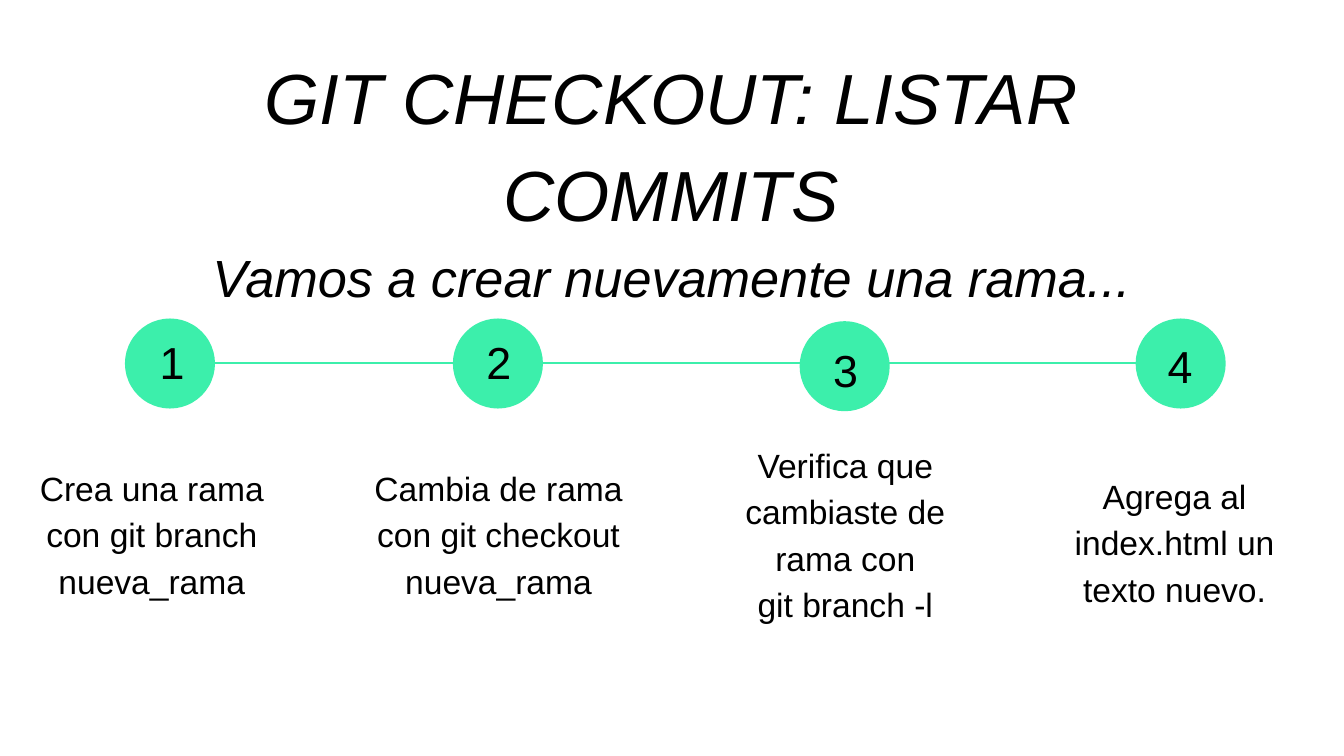
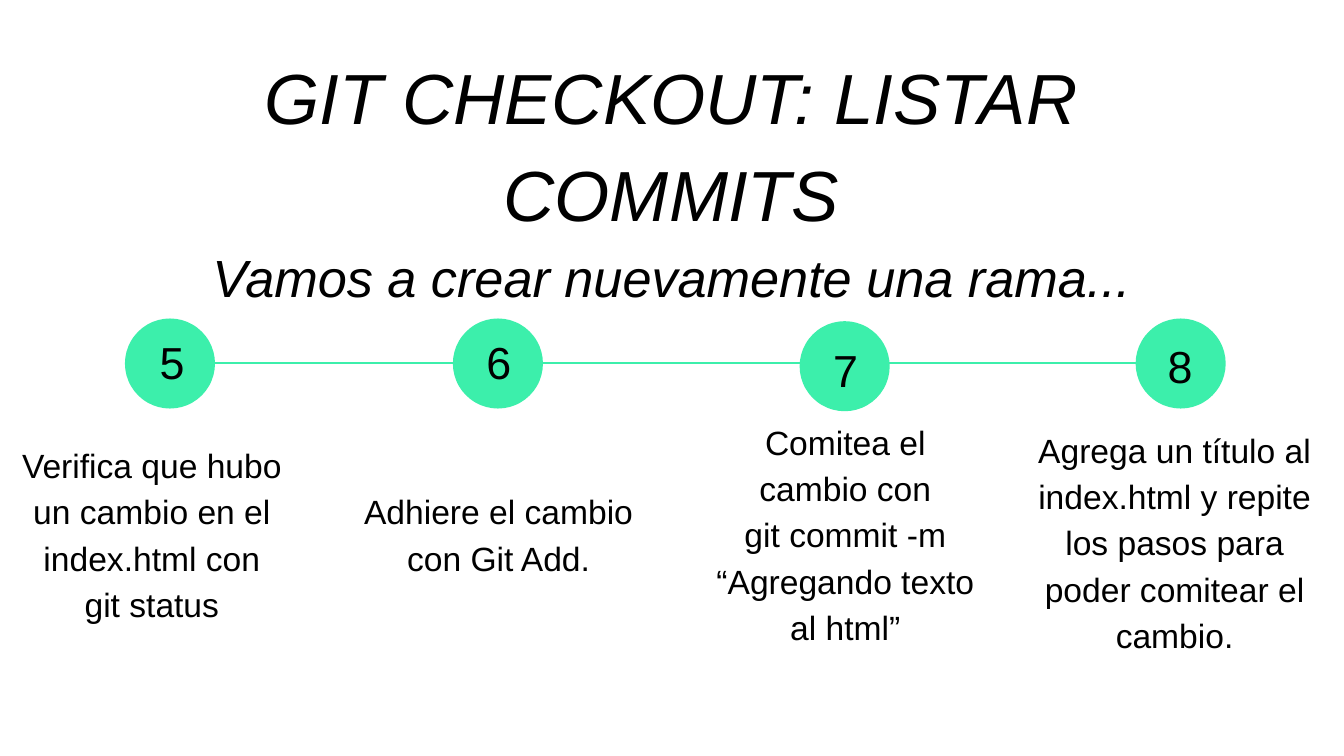
from dataclasses import dataclass

from lxml.etree import SubElement
from pptx import Presentation
from pptx.dml.color import RGBColor
from pptx.enum.shapes import MSO_CONNECTOR, MSO_SHAPE
from pptx.enum.text import MSO_ANCHOR, PP_ALIGN
from pptx.oxml.ns import qn
from pptx.util import Pt

TITLE = "GIT CHECKOUT: LISTAR COMMITS"
LEAD = "Vamos a crear nuevamente una rama..."

# One list per slide; each step is a list of paragraphs.
SLIDES = [
    [
        ["Crea una rama con git branch nueva_rama"],
        ["Cambia de rama con git checkout nueva_rama"],
        ["Verifica que cambiaste de rama con", "git branch -l"],
        ["Agrega al index.html un texto nuevo."],
    ],
    [
        ["Verifica que hubo un cambio en el index.html con", "git status"],
        ["Adhiere el cambio con Git Add."],
        ["Comitea el cambio con", "git commit -m “Agregando texto al html”"],
        ["Agrega un título al index.html y repite los pasos para poder "
         "comitear el cambio."],
    ],
]


@dataclass(frozen=True)
class Theme:
    font: str = "Arial"
    ink: RGBColor = RGBColor(0, 0, 0)
    paper: RGBColor = RGBColor(255, 255, 255)
    mint: RGBColor = RGBColor(0x3C, 0xEF, 0xAB)
    title: int = 38
    lead: int = 28
    digit: int = 24
    body: int = 18
    rule: float = 0.75
    pad: float = 7.2
    lines: float = 1.15


@dataclass(frozen=True)
class Column:
    dot: tuple
    digit: tuple
    text: tuple
    align: PP_ALIGN


THEME = Theme()
LEFT, MID = PP_ALIGN.LEFT, PP_ALIGN.CENTER
DOT = 48.24
DIGIT = (21.6, 24.5)
TEXT = (162.72, 84.24)
PITCH = 185.76
ROW = 242.64
HEAD = (102.96, 14.4, 513.36, 77.76)
AXIS = 194.4
COLUMNS = [
    Column((66.96, 170.64), (78.48, 172.08), (0, ROW), LEFT),
    Column((242.64, 170.64), (253.44, 172.08), (PITCH, ROW), LEFT),
    Column((428.4, 172.08), (439.2, 176.4), (2 * PITCH, ROW), MID),
    Column((608.4, 170.64), (618.48, 174.24), (547.92, 246.96), MID),
]


def write(slide, area, parts, align=MID, anchor=MSO_ANCHOR.TOP,
          lines=None, italic=False):
    """Add a text box; parts holds one (text, size) pair per paragraph."""
    frame = slide.shapes.add_textbox(*map(Pt, area)).text_frame
    frame.word_wrap = True
    frame.vertical_anchor = anchor
    frame.margin_left = frame.margin_right = Pt(THEME.pad)
    frame.margin_top = frame.margin_bottom = Pt(THEME.pad)
    for i, (text, size) in enumerate(parts):
        para = frame.add_paragraph() if i else frame.paragraphs[0]
        para.text = text
        para.alignment = align
        para.line_spacing = lines
        font = para.font
        font.name, font.size = THEME.font, Pt(size)
        font.italic = italic
        font.color.rgb = THEME.ink


def add_axis(slide):
    start, end = COLUMNS[0].dot[0] + DOT, COLUMNS[-1].dot[0]
    line = slide.shapes.add_connector(
        MSO_CONNECTOR.STRAIGHT, Pt(start), Pt(AXIS), Pt(end), Pt(AXIS))
    line.line.color.rgb = THEME.mint
    line.line.width = Pt(THEME.rule)
    SubElement(line._element.spPr, qn("a:effectLst"))


def add_step(slide, col, num, paras):
    dot = slide.shapes.add_shape(
        MSO_SHAPE.OVAL, *map(Pt, col.dot), Pt(DOT), Pt(DOT))
    dot.shadow.inherit = False
    dot.fill.solid()
    dot.fill.fore_color.rgb = THEME.mint
    dot.line.fill.background()
    write(slide, col.digit + DIGIT, [(str(num), THEME.digit)], col.align)
    write(slide, col.text + TEXT, [(p, THEME.body) for p in paras],
          anchor=MSO_ANCHOR.MIDDLE, lines=THEME.lines)


def main():
    deck = Presentation()
    deck.slide_width, deck.slide_height = Pt(720), Pt(405)
    num = 0
    for steps in SLIDES:
        slide = deck.slides.add_slide(deck.slide_layouts[6])
        slide.background.fill.solid()
        slide.background.fill.fore_color.rgb = THEME.paper
        add_axis(slide)
        write(slide, HEAD, [(TITLE, THEME.title), (LEAD, THEME.lead)],
              lines=THEME.lines, italic=True)
        for col, paras in zip(COLUMNS, steps):
            num += 1
            add_step(slide, col, num, paras)
    deck.save("out.pptx")


if __name__ == "__main__":
    main()
